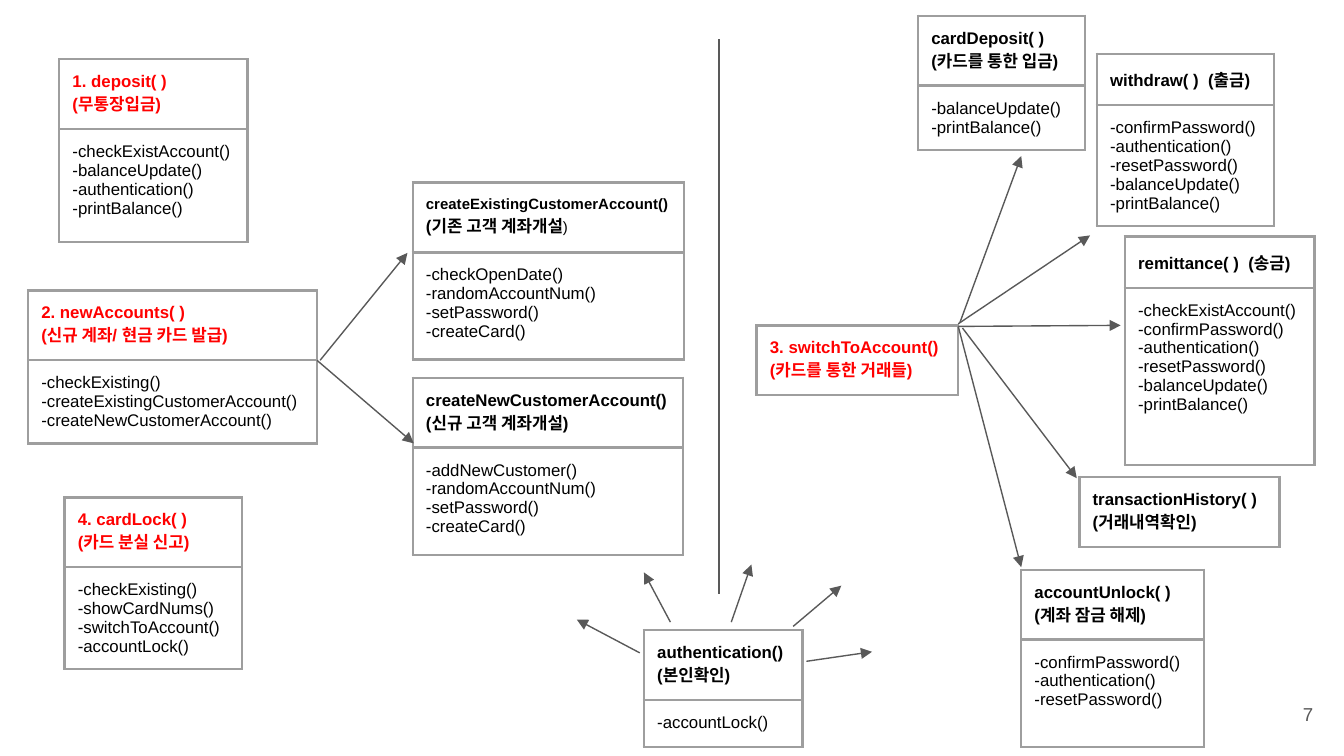
from dataclasses import dataclass

from lxml import etree
from pptx import Presentation, util as u
from pptx.dml import color
from pptx.enum import shapes, text
from pptx.oxml import ns

RED, BLACK, WHITE = "FF0000", "000000", "FFFFFF"
BORDER, INK = "9E9E9E", "595959"
INSET = u.Cm(0.25)
HEADER_HEIGHTS = {1: 0.97, 2: 1.32}


@dataclass
class ClassBox:
    left: float
    top: float
    width: float
    header: tuple[str, ...]
    methods: tuple[str, ...] = ()
    body_height: float = 0
    color: str = BLACK
    title_size: float = 9
    light_ending: str = ""


@dataclass
class Line:
    start: tuple[float, float]
    end: tuple[float, float]
    arrow: bool = True


BOXES = [
    ClassBox(0.53, 5.49, 5.46, ("2. newAccounts( )", "(신규 계좌/ 현금 카드 발급)"),
             ("checkExisting", "createExistingCustomerAccount", "createNewCustomerAccount"),
             1.57, RED),
    ClassBox(7.8, 3.45, 5.13, ("createExistingCustomerAccount()", "(기존 고객 계좌개설"),
             ("checkOpenDate", "randomAccountNum", "setPassword", "createCard"),
             2.03, title_size=8, light_ending=")"),
    ClassBox(7.8, 7.14, 5.11, ("createNewCustomerAccount()", "(신규 고객 계좌개설)"),
             ("addNewCustomer", "randomAccountNum", "setPassword", "createCard"), 2.03),
    ClassBox(1.12, 1.12, 3.56, ("1. deposit( )", "(무통장입금)"),
             ("checkExistAccount", "balanceUpdate", "authentication", "printBalance"),
             2.13, RED),
    ClassBox(19.3, 10.77, 3.45, ("accountUnlock( )", "(계좌 잠금 해제)"),
             ("confirmPassword", "authentication", "resetPassword"), 2.03),
    ClassBox(12.17, 11.91, 3, ("authentication()", "(본인확인)"), ("accountLock",), 0.89),
    ClassBox(17.35, 0.3, 3.15, ("cardDeposit( )", "(카드를 통한 입금)"),
             ("balanceUpdate", "printBalance"), 1.22),
    ClassBox(20.4, 9.02, 3.78, ("transactionHistory( )", "(거래내역확인)")),
    ClassBox(21.26, 4.47, 3.58, ("remittance( )  (송금)",),
             ("checkExistAccount", "confirmPassword", "authentication", "resetPassword",
              "balanceUpdate", "printBalance"), 3.35),
    ClassBox(14.3, 6.15, 3.81, ("3. switchToAccount()", "(카드를 통한 거래들)"), color=RED),
    ClassBox(20.73, 1.02, 3.35, ("withdraw( )  (출금)",),
             ("confirmPassword", "authentication", "resetPassword", "balanceUpdate",
              "printBalance"), 2.26),
    ClassBox(1.22, 9.4, 3.35, ("4. cardLock( )", "(카드 분실 신고)"),
             ("checkExisting", "showCardNums", "switchToAccount", "accountLock"), 1.93, RED),
]

LINES = [
    Line((13.59, 0.74), (13.59, 11.23), arrow=False),
    Line((6.05, 6.81), (7.7, 4.78)),
    Line((5.99, 6.81), (7.82, 8.38)),
    Line((18.14, 6.1), (19.3, 2.95)),
    Line((18.11, 6.12), (20.6, 4.45)),
    Line((18.11, 6.17), (21.18, 6.15)),
    Line((18.19, 6.2), (20.35, 9.04)),
    Line((18.11, 6.17), (19.3, 10.72)),
    Line((12.09, 12.34), (10.9, 11.71)),
    Line((12.67, 11.76), (12.17, 10.82)),
    Line((13.82, 11.76), (14.2, 10.67)),
    Line((14.99, 11.84), (15.9, 11.07)),
    Line((15.24, 12.5), (16.48, 12.32)),
]


def rgb(value: str) -> color.RGBColor:
    return color.RGBColor.from_string(value)


def add_text(paragraph, content: str, *, size: float = 9, hue: str = BLACK,
             bold: bool = False) -> None:
    run = paragraph.add_run()
    run.text = content
    run.font.name = "Arial"
    run.font.size = u.Pt(size)
    run.font.bold = bold
    run.font.color.rgb = rgb(hue)


def set_insets(holder) -> None:
    holder.margin_left = holder.margin_right = INSET
    holder.margin_top = holder.margin_bottom = INSET


def style_cell(cell) -> None:
    set_insets(cell)
    properties = cell._tc.get_or_add_tcPr()
    for side in ("lnL", "lnR", "lnT", "lnB"):
        border = etree.SubElement(properties, ns.qn(f"a:{side}"), w=str(u.Pt(1.5)))
        fill = etree.SubElement(border, ns.qn("a:solidFill"))
        etree.SubElement(fill, ns.qn("a:srgbClr"), val=BORDER)
    cell.fill.solid()
    cell.fill.fore_color.rgb = rgb(WHITE)


def next_paragraph(frame, index: int):
    return frame.add_paragraph() if index else frame.paragraphs[0]


def add_class_box(slide, box: ClassBox) -> None:
    heights = [HEADER_HEIGHTS[len(box.header)]]
    if box.methods:
        heights.append(box.body_height)
    table = slide.shapes.add_table(len(heights), 1, u.Cm(box.left), u.Cm(box.top),
                                   u.Cm(box.width), u.Cm(sum(heights))).table
    table.first_row = table.horz_banding = False
    for row, height in zip(table.rows, heights):
        row.height = u.Cm(height)
        style_cell(row.cells[0])

    header = table.cell(0, 0).text_frame
    for index, content in enumerate(box.header):
        paragraph = next_paragraph(header, index)
        size = 9 if index else box.title_size
        add_text(paragraph, content, size=size, hue=box.color, bold=True)
    if box.light_ending:
        add_text(paragraph, box.light_ending, size=8)

    for index, method in enumerate(box.methods):
        add_text(next_paragraph(table.cell(1, 0).text_frame, index), f"-{method}()")


def add_line(slide, line: Line) -> None:
    points = [u.Cm(value) for value in (*line.start, *line.end)]
    connector = slide.shapes.add_connector(shapes.MSO_CONNECTOR.STRAIGHT, *points)
    connector.line.color.rgb = rgb(INK)
    connector.line.width = u.Pt(0.75)
    if line.arrow:
        etree.SubElement(connector.line._get_or_add_ln(), ns.qn("a:tailEnd"), type="triangle")
    etree.SubElement(connector._element.spPr, ns.qn("a:effectLst"))


def add_page_number(slide, number: str) -> None:
    frame = slide.shapes.add_textbox(u.Cm(23.55), u.Cm(12.95), u.Cm(1.52), u.Cm(1.09)).text_frame
    frame.word_wrap = True
    frame.vertical_anchor = text.MSO_ANCHOR.MIDDLE
    set_insets(frame)
    paragraph = frame.paragraphs[0]
    paragraph.alignment = text.PP_ALIGN.RIGHT
    add_text(paragraph, number, size=10, hue=INK)


def main() -> None:
    presentation = Presentation()
    presentation.slide_width = u.Cm(25.4)
    presentation.slide_height = u.Cm(14.29)
    slide = presentation.slides.add_slide(presentation.slide_layouts[6])
    for box in BOXES:
        add_class_box(slide, box)
    for line in LINES:
        add_line(slide, line)
    add_page_number(slide, "7")
    presentation.save("out.pptx")


if __name__ == "__main__":
    main()
